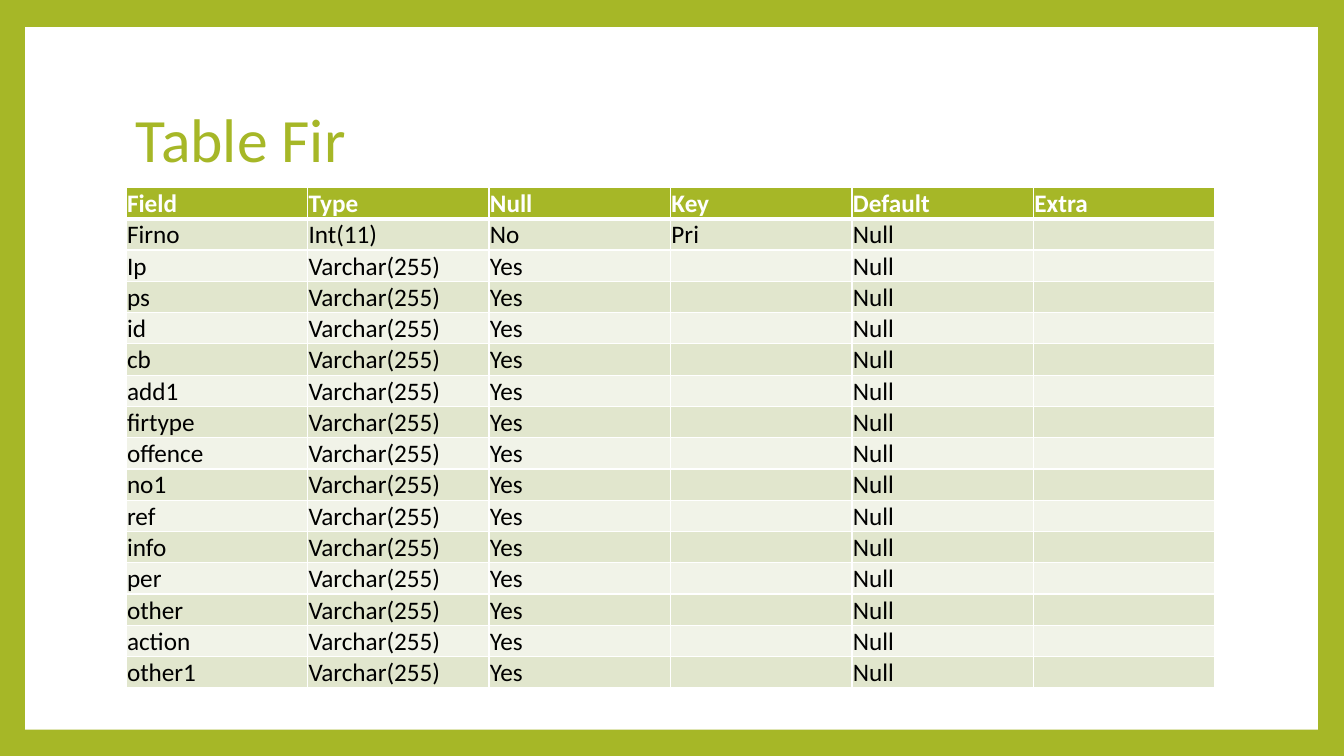
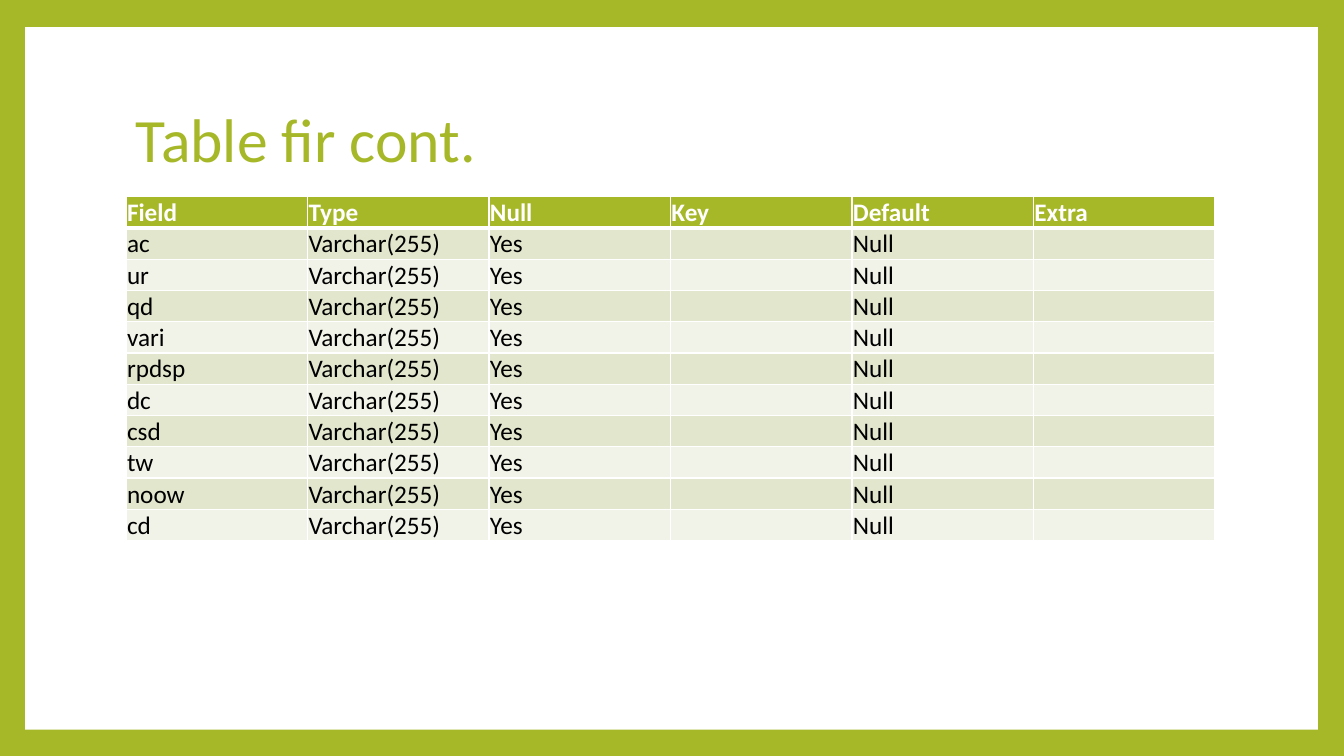
from dataclasses import dataclass

from lxml.etree import SubElement
from pptx import Presentation
from pptx.dml.color import RGBColor
from pptx.enum.shapes import MSO_SHAPE
from pptx.enum.text import MSO_ANCHOR
from pptx.oxml.ns import qn
from pptx.util import Inches, Pt


@dataclass(frozen=True)
class Theme:
    font: str = "Calibri"
    green: str = "A6B727"
    white: str = "FFFFFF"
    black: str = "000000"
    bands: tuple = ("E1E6CD", "F1F3E8")
    title_size: int = 44
    table_size: int = 18
    thin_rule: int = 1
    header_rule: int = 3


theme = Theme()


def write(frame, text, size, color, bold=False, spacing=1.0):
    para = frame.paragraphs[0]
    para.line_spacing = spacing
    span = para.add_run()
    span.text = text
    span.font.name = theme.font
    span.font.size = Pt(size)
    span.font.bold = bold
    span.font.color.rgb = RGBColor.from_string(color)


def add_border(cell, side, width):
    line = SubElement(cell._tc.get_or_add_tcPr(), qn(f"a:ln{side}"), w=str(Pt(width)))
    fill = SubElement(line, qn("a:solidFill"))
    SubElement(fill, qn("a:srgbClr"), val=theme.white)


# Deck and shared grid
deck = Presentation()
deck.slide_width, deck.slide_height = Inches(13.33), Inches(7.5)
left, column_width, row_height = Inches(1.25), Inches(1.8), Inches(0.31)
cell_margin = Inches(0.01)

# Table contents
header = ("Field", "Type", "Null", "Key", "Default", "Extra")
content_width = column_width * len(header)
key_row = ("Firno", "Int(11)", "No", "Pri", "Null", "")
first_fields = ("Ip ps id cb add1 firtype offence no1 ref info per "
                "other action other1").split()
more_fields = "ac ur qd vari rpdsp dc csd tw noow cd".split()
pages = [
    ("Table Fir", 1.86, [key_row], first_fields),
    ("Table fir cont.", 1.95, [], more_fields),
]

for title, table_top, key_rows, fields in pages:
    # Green frame around a white panel
    page = deck.slides.add_slide(deck.slide_layouts[6])
    page.background.fill.solid()
    page.background.fill.fore_color.rgb = RGBColor.from_string(theme.green)
    panel = page.shapes.add_shape(
        MSO_SHAPE.RECTANGLE, Inches(0.25), Inches(0.27), Inches(12.82), Inches(6.97))
    panel.shadow.inherit = False
    panel.fill.solid()
    panel.fill.fore_color.rgb = RGBColor.from_string(theme.white)
    panel.line.fill.background()

    # Title
    box = page.shapes.add_textbox(left, Inches(0.67), content_width, Inches(1.48))
    box.text_frame.word_wrap = True
    box.text_frame.vertical_anchor = MSO_ANCHOR.MIDDLE
    write(box.text_frame, title, theme.title_size, theme.green, spacing=0.9)

    # Field table
    rows = [header, *key_rows]
    rows += [(field, "Varchar(255)", "Yes", "", "Null", "") for field in fields]
    table = page.shapes.add_table(
        len(rows), len(header), left, Inches(table_top),
        content_width, row_height * len(rows)).table
    table.horz_banding = False
    for row_index, values in enumerate(rows):
        is_header = row_index == 0
        table.rows[row_index].height = row_height
        row_fill = theme.green if is_header else theme.bands[(row_index - 1) % 2]
        for column_index, text in enumerate(values):
            cell = table.cell(row_index, column_index)
            cell.vertical_anchor = MSO_ANCHOR.MIDDLE
            cell.margin_left = cell.margin_right = cell.margin_top = cell_margin
            cell.margin_bottom = 0
            for side in "LRTB":
                under_header = (row_index, side) in ((0, "B"), (1, "T"))
                add_border(cell, side,
                           theme.header_rule if under_header else theme.thin_rule)
            cell.fill.solid()
            cell.fill.fore_color.rgb = RGBColor.from_string(row_fill)
            if text:
                write(cell.text_frame, text, theme.table_size,
                      theme.white if is_header else theme.black, bold=is_header)

deck.save("out.pptx")
